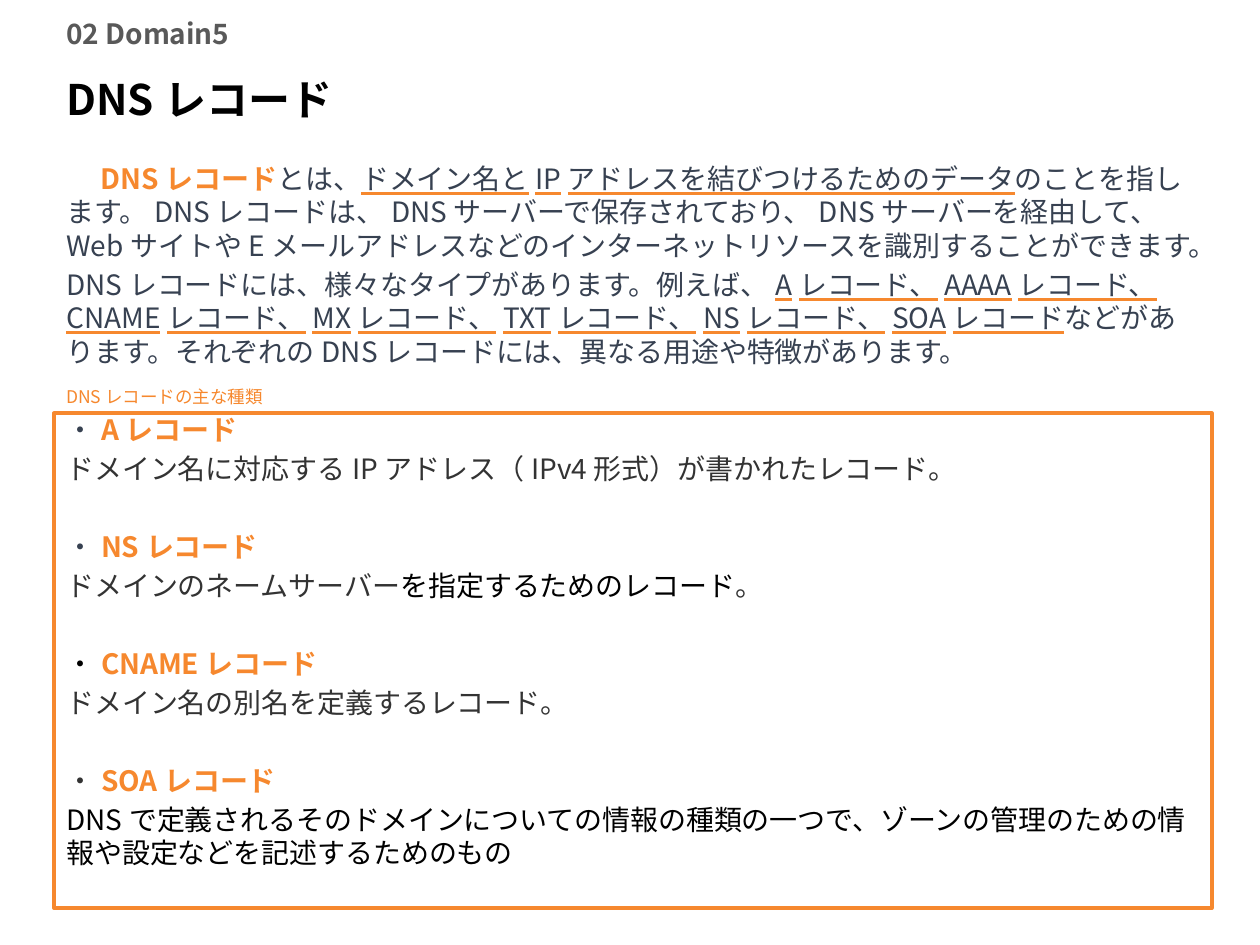
from dataclasses import dataclass

from lxml.etree import SubElement
from pptx import Presentation
from pptx.dml.color import RGBColor as Rgb
from pptx.enum.lang import MSO_LANGUAGE_ID as Language
from pptx.enum.shapes import MSO_SHAPE as Preset
from pptx.enum.text import MSO_ANCHOR as Anchor, MSO_UNDERLINE as Underline
from pptx.oxml.ns import qn
from pptx.util import Cm, Pt

FONT = "Noto Sans CJK JP"
COLORS = {
    "accent": "F6882E",
    "slate": "374151",
    "charcoal": "333333",
    "gray": "595959",
    "black": "000000",
    "white": "FFFFFF",
}
LEFT, WIDTH = 1.09, 23.34  # shared column, cm
LINE_PITCH, PARAGRAPH_GAP, RECORD_GAP = 19.1, 3.2, 25.5  # points


@dataclass(frozen=True)
class Span:
    text: str
    color: str = "slate"
    bold: bool = False
    underlined: bool = False


@dataclass(frozen=True)
class Record:
    name: str
    description: tuple[Span, ...]
    marker_color: str = "slate"


@dataclass(frozen=True)
class Label:
    span: Span
    top: float
    width: float
    height: float
    size: float


LABELS = (
    Label(Span("02 Domain5", "gray", bold=True), 0, 9.4, 1.35, 16),
    Label(Span("DNSレコード", "black", bold=True), 1.17, 21.29, 1.63, 24),
    Label(Span("DNSレコードの主な種類", "accent"), 7.44, 5, 1.12, 10),
)

INTRODUCTION = (
    (
        Span("DNSレコード", "accent", bold=True),
        Span("とは、"),
        Span("ドメイン名とIPアドレスを結びつけるためのデータ", underlined=True),
        Span("のことを指します。DNSレコードは、DNSサーバーで保存されており、"
             "DNSサーバーを経由して、WebサイトやEメールアドレスなどの"
             "インターネットリソースを識別することができます。"),
    ),
    (
        Span("DNSレコードには、様々なタイプがあります。例えば、"),
        Span("Aレコード、AAAAレコード、CNAMEレコード、MXレコード、"
             "TXTレコード、NSレコード、SOAレコード", underlined=True),
        Span("などがあります。それぞれのDNSレコードには、異なる用途や特徴があります。"),
    ),
)

RECORDS = (
    Record("Aレコード", (
        Span("ドメイン名に対応するIPアドレス（IPv4形式）が書かれたレコード。", "charcoal"),
    )),
    Record("NSレコード", (
        Span("ドメインのネームサーバー", "charcoal"),
        Span("を指定するためのレコード", "black"),
        Span("。", "charcoal"),
    )),
    Record("CNAMEレコード", (
        Span("ドメイン名の別名を定義するレコード。", "charcoal"),
    ), "black"),
    Record("SOAレコード", (
        Span("DNSで定義されるそのドメインについての情報の種類の一つで、"
             "ゾーンの管理のための情報や設定などを記述するためのもの", "black"),
    ), "charcoal"),
)


def rgb(name: str) -> Rgb:
    return Rgb.from_string(COLORS[name])


def format_run(run, span: Span, size: float) -> None:
    font = run.font
    font.size, font.bold = Pt(size), span.bold
    font.color.rgb = rgb(span.color)
    font.language_id = Language.JAPANESE
    properties = run._r.get_or_add_rPr()
    if span.underlined:
        font.underline = Underline.HEAVY_LINE
        fill = SubElement(SubElement(properties, qn("a:uFill")), qn("a:solidFill"))
        SubElement(fill, qn("a:srgbClr"), val=COLORS["accent"])
    font.name = FONT
    SubElement(properties, qn("a:ea"), typeface=FONT)


def fill_paragraph(paragraph, spans: tuple[Span, ...], size: float) -> None:
    for span in spans:
        run = paragraph.add_run()
        run.text = span.text
        format_run(run, span, size)


def add_text_box(slide, top: float, width: float, height: float):
    box = slide.shapes.add_textbox(Cm(LEFT), Cm(top), Cm(width), Cm(height))
    box.text_frame.word_wrap = True
    return box


def add_label(slide, label: Label) -> None:
    frame = add_text_box(slide, label.top, label.width, label.height).text_frame
    frame.vertical_anchor = Anchor.MIDDLE
    fill_paragraph(frame.paragraphs[0], (label.span,), label.size)


def add_body(slide) -> None:
    body = add_text_box(slide, 3.13, WIDTH, 15.18)
    body.fill.solid()
    body.fill.fore_color.rgb = rgb("white")

    # Each line pairs a space before with its spans
    lines = [(PARAGRAPH_GAP, spans) for spans in INTRODUCTION]
    for record in RECORDS:
        heading = (Span("・", record.marker_color),
                   Span(record.name, "accent", bold=True))
        lines += [(RECORD_GAP, heading), (PARAGRAPH_GAP, record.description)]

    frame = body.text_frame
    for index, (gap, spans) in enumerate(lines):
        paragraph = frame.add_paragraph() if index else frame.paragraphs[0]
        paragraph.line_spacing = Pt(LINE_PITCH)
        if index:
            paragraph.space_before = Pt(gap)
        else:
            paragraph._p.get_or_add_pPr().set("indent", str(Cm(0.69)))
        fill_paragraph(paragraph, spans, 16)


def add_records_frame(slide) -> None:
    border = slide.shapes.add_shape(
        Preset.RECTANGLE, Cm(LEFT), Cm(8.33), Cm(WIDTH), Cm(9.98))
    border.shadow.inherit = False
    border.fill.background()
    border.line.color.rgb = rgb("accent")
    border.line.width = Pt(2)


def main() -> None:
    deck = Presentation()
    deck.slide_width, deck.slide_height = Cm(25.4), Cm(19.05)
    slide = deck.slides.add_slide(deck.slide_layouts[6])

    # Explanation and record types
    add_body(slide)
    add_records_frame(slide)

    # Section, title and frame caption
    for label in LABELS:
        add_label(slide, label)

    deck.save("out.pptx")


if __name__ == "__main__":
    main()
